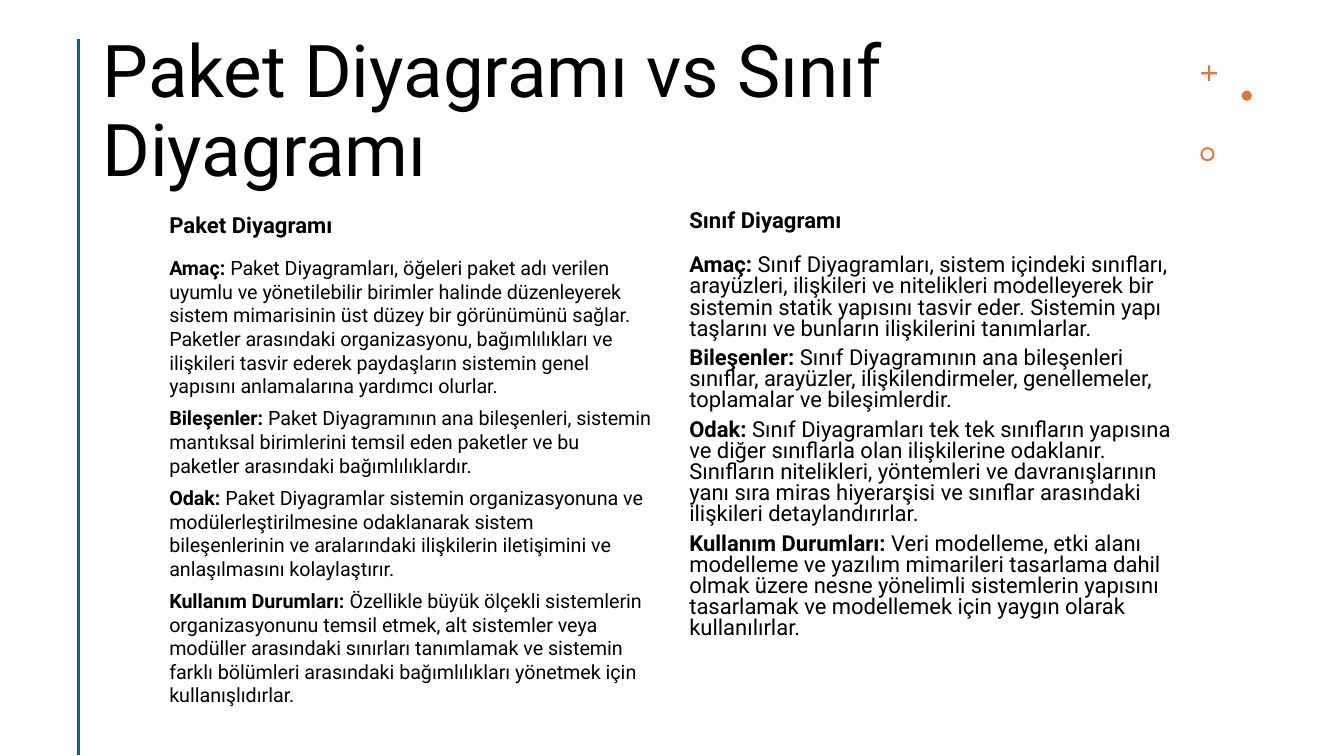
from pptx import Presentation
from pptx.dml.color import RGBColor
from pptx.enum.shapes import MSO_CONNECTOR, MSO_SHAPE
from pptx.enum.text import MSO_ANCHOR
from pptx.oxml.ns import qn
from pptx.util import Pt
from lxml.etree import SubElement

BLACK = RGBColor(0x00, 0x00, 0x00)
TEAL = RGBColor(0x15, 0x60, 0x82)
ORANGE = RGBColor(0xE9, 0x71, 0x32)
FONT = "Roboto"

PACKAGE_POINTS = [
    ("Amaç: ", "Paket Diyagramları, öğeleri paket adı verilen uyumlu ve yönetilebilir birimler halinde "
     "düzenleyerek sistem mimarisinin üst düzey bir görünümünü sağlar. Paketler arasındaki organizasyonu, "
     "bağımlılıkları ve ilişkileri tasvir ederek paydaşların sistemin genel yapısını anlamalarına yardımcı "
     "olurlar."),
    ("Bileşenler: ", "Paket Diyagramının ana bileşenleri, sistemin mantıksal birimlerini temsil eden paketler "
     "ve bu paketler arasındaki bağımlılıklardır."),
    ("Odak: ", "Paket Diyagramlar sistemin organizasyonuna ve modülerleştirilmesine odaklanarak sistem "
     "bileşenlerinin ve aralarındaki ilişkilerin iletişimini ve anlaşılmasını kolaylaştırır."),
    ("Kullanım Durumları: ", "Özellikle büyük ölçekli sistemlerin organizasyonunu temsil etmek, alt sistemler "
     "veya modüller arasındaki sınırları tanımlamak ve sistemin farklı bölümleri arasındaki bağımlılıkları "
     "yönetmek için kullanışlıdırlar."),
]
CLASS_POINTS = [
    ("Amaç: ", "Sınıf Diyagramları, sistem içindeki sınıfları, arayüzleri, ilişkileri ve nitelikleri "
     "modelleyerek bir sistemin statik yapısını tasvir eder. Sistemin yapı taşlarını ve bunların ilişkilerini "
     "tanımlarlar."),
    ("Bileşenler: ", "Sınıf Diyagramının ana bileşenleri sınıflar, arayüzler, ilişkilendirmeler, genellemeler, "
     "toplamalar ve bileşimlerdir."),
    ("Odak: ", "Sınıf Diyagramları tek tek sınıfların yapısına ve diğer sınıflarla olan ilişkilerine odaklanır. "
     "Sınıfların nitelikleri, yöntemleri ve davranışlarının yanı sıra miras hiyerarşisi ve sınıflar arasındaki "
     "ilişkileri detaylandırırlar."),
    ("Kullanım Durumları: ", "Veri modelleme, etki alanı modelleme ve yazılım mimarileri tasarlama dahil olmak "
     "üzere nesne yönelimli sistemlerin yapısını tasarlamak ve modellemek için yaygın olarak kullanılırlar."),
]


def add_text(slide, left, top, width, height, paragraphs, size, spacing=1.0, after=6,
             anchor=MSO_ANCHOR.TOP):
    shape = slide.shapes.add_textbox(Pt(left), Pt(top), Pt(width), Pt(height))
    text_frame = shape.text_frame
    text_frame.word_wrap = True
    text_frame.vertical_anchor = anchor
    for index, (label, body) in enumerate(paragraphs):
        paragraph = text_frame.add_paragraph() if index else text_frame.paragraphs[0]
        paragraph.line_spacing = spacing
        paragraph.space_after = Pt(after)
        for text, bold in ((label, True), (body, False)):
            if text:
                run = paragraph.add_run()
                run.text = text
                run.font.name = FONT
                run.font.size = Pt(size)
                run.font.bold = bold
                run.font.color.rgb = BLACK


def add_title(slide, left, top, width, height):
    add_text(slide, left, top, width, height, [("", "Paket Diyagramı vs Sınıf Diyagramı")], 52,
             spacing=0.9, after=0, anchor=MSO_ANCHOR.MIDDLE)


def add_side_rule(slide, left, top, height):
    rule = slide.shapes.add_connector(MSO_CONNECTOR.STRAIGHT, Pt(left), Pt(top), Pt(left), Pt(top + height))
    rule.line.color.rgb = TEAL
    rule.line.width = Pt(2)
    SubElement(rule._element.spPr, qn("a:effectLst"))


def add_ornaments(slide, left, top):
    ornaments = [
        (MSO_SHAPE.CROSS, 0.7, 0, 11, 0.43),
        (MSO_SHAPE.OVAL, 29.5, 18, 7.2, None),
        (MSO_SHAPE.DONUT, 0, 58.3, 10.1, 0.14),
    ]
    for kind, offset_x, offset_y, size, adjustment in ornaments:
        shape = slide.shapes.add_shape(kind, Pt(left + offset_x), Pt(top + offset_y), Pt(size), Pt(size))
        shape.shadow.inherit = False
        shape.fill.solid()
        shape.fill.fore_color.rgb = ORANGE
        shape.line.fill.background()
        if adjustment is not None:
            shape.adjustments[0] = adjustment


def add_column(slide, left, top, width, height, heading, heading_top, points, size, spacing):
    add_text(slide, left, heading_top, width, top - heading_top, [(heading, "")], 15.8)
    add_text(slide, left, top, width, height, points, size, spacing)


def main():
    presentation = Presentation()
    presentation.slide_width = Pt(960)
    presentation.slide_height = Pt(540)
    slide = presentation.slides.add_slide(presentation.slide_layouts[6])
    add_title(slide, 66.2, 28.8, 774.7, 104.4)
    add_side_rule(slide, 56.2, 28, 511.2)
    add_ornaments(slide, 857.5, 46.8)
    add_column(slide, 113.8, 179.3, 359.3, 306.7, "Paket Diyagramı", 147.6, PACKAGE_POINTS, 14.1, 1.0)
    add_column(slide, 485.3, 179.3, 360.7, 306.7, "Sınıf Diyagramı", 144, CLASS_POINTS, 15.7, 0.8)
    presentation.save("out.pptx")


if __name__ == "__main__":
    main()
